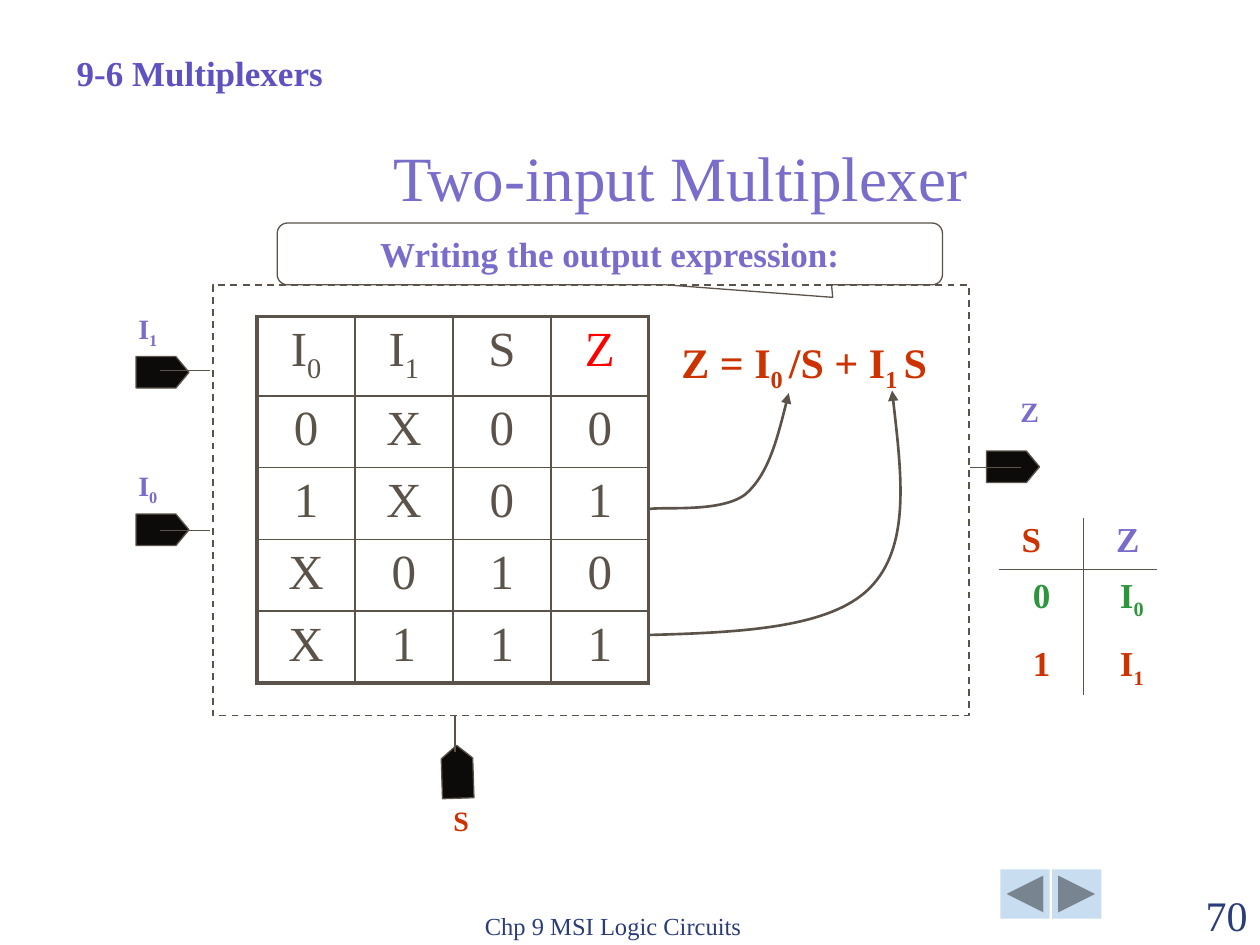
from dataclasses import dataclass

from lxml.etree import SubElement
from pptx import Presentation
from pptx.dml.color import RGBColor
from pptx.enum.dml import MSO_LINE
from pptx.enum.shapes import MSO_CONNECTOR, MSO_SHAPE
from pptx.enum.text import MSO_ANCHOR, PP_ALIGN
from pptx.oxml import parse_xml
from pptx.oxml.ns import nsdecls, qn
from pptx.util import Inches, Pt

COLS, ROWS = 100, 75


@dataclass(frozen=True)
class Theme:
    font: str = "Times New Roman"
    ink: str = "5B5249"
    violet: str = "786DCB"
    head: str = "5E51C1"
    rust: str = "CC3300"
    green: str = "2D953C"
    red: str = "FF0000"
    navy: str = "2A3D7A"
    black: str = "0C0B0A"
    sky: str = "C9DDF1"
    title: int = 36
    cell: int = 28
    large: int = 24
    body: int = 20
    label: int = 16
    foot: int = 14


def tint(code):
    return RGBColor.from_string(code)


def write(para, text, size, color, bold=False, align=PP_ALIGN.LEFT, font=Theme.font):
    """Fill a paragraph; parts between underscores become subscripts."""
    para.alignment = align
    for i, part in enumerate(text.split("_")):
        if not part:
            continue
        run = para.add_run()
        run.text = part
        style = run.font
        style.name, style.size, style.bold = font, Pt(size), bold
        style.color.rgb = tint(color)
        if i % 2:
            run._r.get_or_add_rPr().set("baseline", "-25000")


class Board:
    """Theme, current slide and a grid of COLS by ROWS."""

    def __init__(self, deck, theme):
        self.theme = theme
        self.slide = deck.slides.add_slide(deck.slide_layouts[5])
        self.shapes = self.slide.shapes
        self.dx, self.dy = deck.slide_width / COLS, deck.slide_height / ROWS

    def spot(self, x, y):
        return round(x * self.dx), round(y * self.dy)

    def area(self, x, y, w, h):
        return *self.spot(x, y), *self.spot(w, h)

    def title(self, text, box):
        item = self.shapes.title
        item.left, item.top, item.width, item.height = self.area(*box)
        item.text_frame.vertical_anchor = MSO_ANCHOR.BOTTOM
        para = item.text_frame.paragraphs[0]
        para.line_spacing = 0.7
        write(para, text, self.theme.title, self.theme.violet, align=PP_ALIGN.CENTER)

    def text(self, text, box, size, color, wrap=False, anchor=MSO_ANCHOR.TOP, **fmt):
        frame = self.shapes.add_textbox(*self.area(*box)).text_frame
        frame.word_wrap, frame.vertical_anchor = wrap, anchor
        write(frame.paragraphs[0], text, size, color, **fmt)
        return frame

    def stroke(self, line, width):
        line.color.rgb, line.width = tint(self.theme.ink), Pt(width)

    def shape(self, kind, box, fill=None, width=0.75, adjust=(), turn=0):
        item = self.shapes.add_shape(kind, *self.area(*box))
        item.shadow.inherit = False
        item.rotation = turn
        for i, value in enumerate(adjust):
            item.adjustments[i] = value
        if fill:
            item.fill.solid()
            item.fill.fore_color.rgb = tint(fill)
        else:
            item.fill.background()
        if width:
            self.stroke(item.line, width)
        else:
            item.line.fill.background()
        return item

    def pin(self, x, y, turn=0):
        self.shape(MSO_SHAPE.PENTAGON, (x, y, 4.2, 2.5), self.theme.black,
                   adjust=[0.417], turn=turn)

    def line(self, start, end, width=0.75):
        item = self.shapes.add_connector(
            MSO_CONNECTOR.STRAIGHT, *self.spot(*start), *self.spot(*end))
        self.stroke(item.line, width)
        SubElement(item._element.spPr, qn("a:effectLst"))

    def curve(self, start, *bends):
        """Draw a Bezier arrow, head at the start; bends come in threes."""
        pen = self.shapes.build_freeform(*self.spot(*start))
        pen.add_line_segments([self.spot(*p) for p in bends], close=False)
        item = pen.convert_to_shape()
        item.shadow.inherit = False
        item.fill.background()
        self.stroke(item.line, 1.5)
        steps = item._element.xpath(".//a:lnTo")
        track = steps[0].getparent()
        for i in range(0, len(steps), 3):
            arc = SubElement(track, qn("a:cubicBezTo"))
            for step in steps[i:i + 3]:
                arc.append(step[0])
                track.remove(step)
        SubElement(item.line._get_or_add_ln(), qn("a:headEnd"), type="triangle")

    def table(self, data, box, heights):
        last, end = len(data) - 1, len(data[0]) - 1
        grid = self.shapes.add_table(last + 1, end + 1, *self.area(*box)).table
        grid.first_row = grid.horz_banding = False
        for row, high in zip(grid.rows, heights):
            row.height = round(high * self.dy)
        for r, row in enumerate(data):
            for c, word in enumerate(row):
                cell = grid.cell(r, c)
                cell.fill.background()
                color = self.theme.red if word == "Z" else self.theme.ink
                write(cell.text_frame.paragraphs[0], word, self.theme.cell, color,
                      align=PP_ALIGN.CENTER)
                outer = {"L": c == 0, "R": c == end, "T": r == 0, "B": r == last}
                for i, (side, edge) in enumerate(outer.items()):
                    self.border(cell, i, side, 2.25 if edge else 1)

    def border(self, cell, i, side, width):
        cell._tc.get_or_add_tcPr().insert(i, parse_xml(
            f'<a:ln{side} {nsdecls("a")} w="{Pt(width)}"><a:solidFill>'
            f'<a:srgbClr val="{self.theme.ink}"/></a:solidFill></a:ln{side}>'))


def main():
    deck = Presentation()
    deck.slide_width, deck.slide_height = Inches(10), Inches(7.5)
    look = Theme()
    board = Board(deck, look)

    for x, kind in ((79.4, MSO_SHAPE.ACTION_BUTTON_BACK_OR_PREVIOUS),
                    (83.5, MSO_SHAPE.ACTION_BUTTON_FORWARD_OR_NEXT)):
        board.shape(kind, (x, 69, 3.9, 3.9), look.sky, width=0)
    board.text("Chp 9 MSI Logic Circuits", (37.5, 70.1, 31.7, 5), look.foot, look.navy,
               wrap=True, anchor=MSO_ANCHOR.BOTTOM)
    board.text("70", (90, 70.1, 10, 5), look.large, look.navy, wrap=True,
               anchor=MSO_ANCHOR.BOTTOM, align=PP_ALIGN.RIGHT)
    board.title("Two-input Multiplexer", (11.5, 10.8, 85, 6.5))
    board.text("9-6 Multiplexers", (5.1, 3.6, 28, 4.3), look.body, look.head,
               wrap=True, bold=True)

    # Short truth table beside the output
    frame = board.text("", (81, 45, 13, 9.3), look.body, look.green, wrap=True)
    rows = (("0\tI_0_", look.green), ("1\tI_1_", look.rust))
    for i, (word, color) in enumerate(rows):
        para = frame.add_paragraph() if i else frame.paragraphs[0]
        tabs = SubElement(para._p.get_or_add_pPr(), qn("a:tabLst"))
        SubElement(tabs, qn("a:tab"), pos=str(Inches(0.69)), algn="l")
        if i:
            para.space_before = Pt(12)
        write(para, word, look.body, color, bold=True)
    board.line((79.3, 45.2), (91.8, 45.2))
    board.line((86, 41.1), (86, 55.2))
    for word, x, color in (("S", 80.1, look.rust), ("Z", 87.6, look.violet)):
        board.text(word, (x, 40.6, 3.9, 4.3), look.body, color, bold=True)

    # Block with its pins
    block = board.shape(MSO_SHAPE.RECTANGLE, (16.9, 22.6, 60, 34.2), width=1)
    block.line.dash_style = MSO_LINE.DASH
    for x, y, turn in ((10.8, 28.3, 0), (10.8, 40.8, 0), (78.3, 35.8, 0),
                       (34.2, 60, 268.2)):
        board.pin(x, y, turn)
    for word, x, y, color in (("I_1_", 10, 24.2, look.violet),
                              ("I_0_", 10, 36.7, look.violet),
                              ("Z", 80, 30.8, look.violet),
                              ("S", 35, 63.3, look.rust)):
        board.text(word, (x, y, 3.6, 3.7), look.label, color, bold=True)
    for y in (29.4, 42.1):
        board.line((12.7, y), (16.7, y), 1)
    board.line((77, 37.1), (81, 37.1))
    board.line((36.1, 59.7), (36.1, 56.8), 1)

    board.table([["I_0_", "I_1_", "S", "Z"], *map(list, ("0X00", "1X01", "X010", "X111"))],
                (20.4, 25.1, 31.1, 29.1), [6.3] + [5.7] * 4)
    board.text("Z = I_0 _/S + I_1 _S", (53.1, 26.2, 22.8, 5), look.large, look.rust,
               wrap=True, bold=True)
    board.curve((62.6, 31.2), (61.8, 34.4), (61, 37.6), (59.2, 39.2),
                (57.3, 40.7), (52.8, 40.2), (51.5, 40.4))
    board.curve((70.8, 31), (71.5, 37.2), (72.3, 43.4), (69, 46.7),
                (65.8, 49.9), (58.6, 50.2), (51.4, 50.4))
    note = board.shape(MSO_SHAPE.ROUNDED_RECTANGULAR_CALLOUT, (22, 17.7, 52.8, 4.9),
                       adjust=[0.335, 0.704, 0.167])
    write(note.text_frame.paragraphs[0], "Writing the output expression:", look.body,
          look.violet, bold=True, align=PP_ALIGN.CENTER)

    deck.save("out.pptx")


if __name__ == "__main__":
    main()
